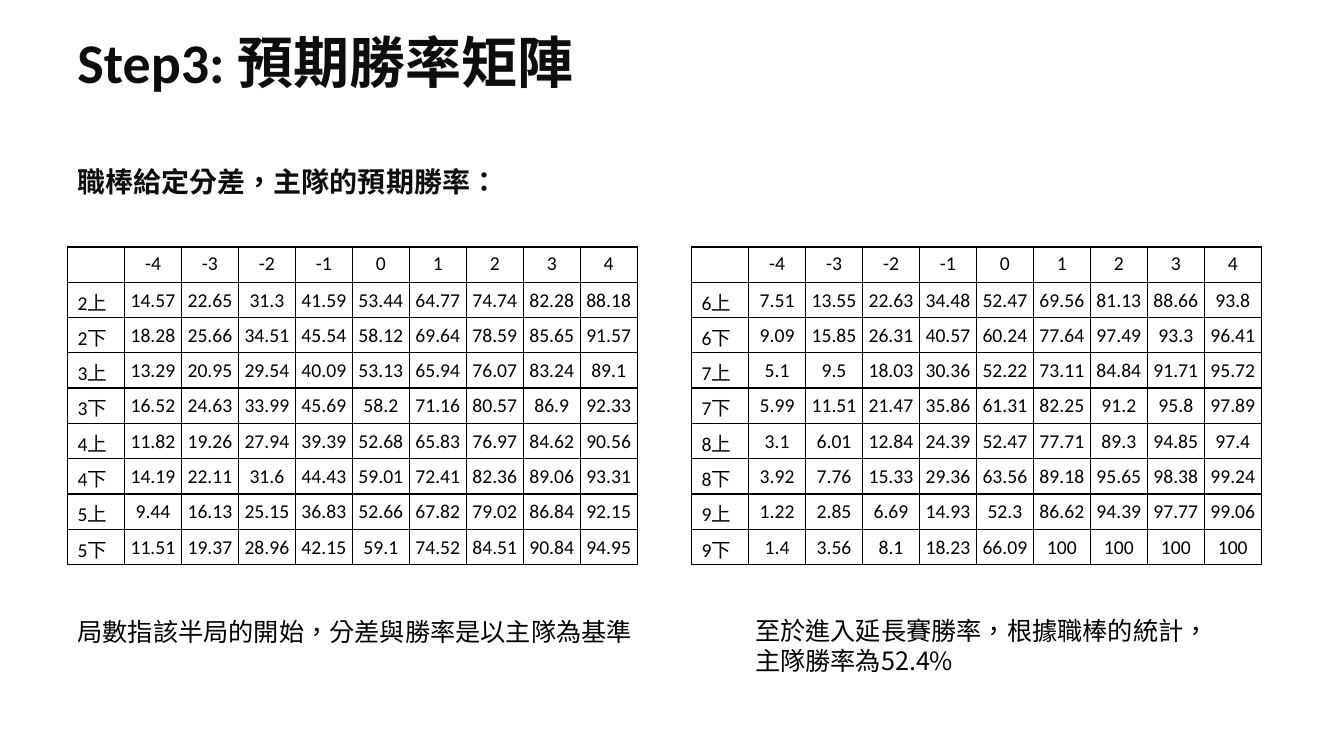
from lxml import etree
from pptx import Presentation
from pptx.dml.color import RGBColor
from pptx.enum.text import MSO_ANCHOR, PP_ALIGN
from pptx.oxml.ns import qn
from pptx.util import Inches, Pt

LATIN_FONT = "Calibri"
CHINESE_FONT = "Noto Sans CJK SC"
BLACK = "000000"
HEADING_COLOR = "0D0D0D"
TABLE_WIDTH = 5.65
ROW_HEIGHT = 0.35
SCORE_GAPS = [str(gap) for gap in range(-4, 5)]

EARLY_INNINGS = """\
2上 14.57 22.65 31.3 41.59 53.44 64.77 74.74 82.28 88.18
2下 18.28 25.66 34.51 45.54 58.12 69.64 78.59 85.65 91.57
3上 13.29 20.95 29.54 40.09 53.13 65.94 76.07 83.24 89.1
3下 16.52 24.63 33.99 45.69 58.2 71.16 80.57 86.9 92.33
4上 11.82 19.26 27.94 39.39 52.68 65.83 76.97 84.62 90.56
4下 14.19 22.11 31.6 44.43 59.01 72.41 82.36 89.06 93.31
5上 9.44 16.13 25.15 36.83 52.66 67.82 79.02 86.84 92.15
5下 11.51 19.37 28.96 42.15 59.1 74.52 84.51 90.84 94.95"""

LATE_INNINGS = """\
6上 7.51 13.55 22.63 34.48 52.47 69.56 81.13 88.66 93.8
6下 9.09 15.85 26.31 40.57 60.24 77.64 97.49 93.3 96.41
7上 5.1 9.5 18.03 30.36 52.22 73.11 84.84 91.71 95.72
7下 5.99 11.51 21.47 35.86 61.31 82.25 91.2 95.8 97.89
8上 3.1 6.01 12.84 24.39 52.47 77.71 89.3 94.85 97.4
8下 3.92 7.76 15.33 29.36 63.56 89.18 95.65 98.38 99.24
9上 1.22 2.85 6.69 14.93 52.3 86.62 94.39 97.77 99.06
9下 1.4 3.56 8.1 18.23 66.09 100 100 100 100"""


def rgb(value):
    return RGBColor.from_string(value)


def add_run(paragraph, text, size, font=LATIN_FONT, color=BLACK, bold=False):
    run = paragraph.add_run()
    run.text = text
    run.font.size = Pt(size)
    run.font.name = font
    run.font.bold = bold
    run.font.color.rgb = rgb(color)
    properties = run._r.get_or_add_rPr()
    properties.set("lang", "zh-TW")
    east_asian = etree.SubElement(properties, qn("a:ea"))
    east_asian.set("typeface", CHINESE_FONT)


def add_text(slide, box, text, size, line_spacing=None,
             anchor=MSO_ANCHOR.TOP, **run_style):
    shape = slide.shapes.add_textbox(*(Inches(length) for length in box))
    frame = shape.text_frame
    frame.word_wrap = True
    frame.vertical_anchor = anchor
    paragraph = frame.paragraphs[0]
    paragraph.line_spacing = line_spacing
    add_run(paragraph, text, size, **run_style)


def add_borders(cell):
    properties = cell._tc.get_or_add_tcPr()
    for side in ("lnL", "lnR", "lnT", "lnB"):
        line = etree.SubElement(properties, qn(f"a:{side}"), w=str(Pt(1)))
        fill = etree.SubElement(line, qn("a:solidFill"))
        etree.SubElement(fill, qn("a:srgbClr"), val=BLACK)


def fill_cell(cell, text, is_value, centered):
    add_borders(cell)
    cell.fill.background()
    paragraph = cell.text_frame.paragraphs[0]
    if centered:
        paragraph.alignment = PP_ALIGN.CENTER
    if is_value:
        cell.vertical_anchor = MSO_ANCHOR.MIDDLE
        cell.margin_left = cell.margin_right = cell.margin_top = Inches(0.01)
        cell.margin_bottom = 0
    if text:
        add_run(paragraph, text, 14)
    else:
        etree.SubElement(paragraph._p, qn("a:endParaRPr"), sz="1400")


def add_win_table(slide, left, innings):
    """Score gaps run across the header; each half inning is one row."""
    rows = [["", *SCORE_GAPS]] + [line.split() for line in innings.splitlines()]
    table = slide.shapes.add_table(
        len(rows), len(rows[0]), Inches(left), Inches(2.45),
        Inches(TABLE_WIDTH), Inches(ROW_HEIGHT * len(rows))).table
    table.first_row = False
    table.horz_banding = False
    for column in table.columns:
        column.width = Inches(TABLE_WIDTH / len(rows[0]))
    for row_index, row in enumerate(rows):
        table.rows[row_index].height = Inches(ROW_HEIGHT)
        for column_index, text in enumerate(row):
            fill_cell(table.cell(row_index, column_index), text,
                      is_value=row_index > 0 and column_index > 0,
                      centered=column_index > 0)


def main():
    presentation = Presentation()
    presentation.slide_width = Inches(13.33)
    presentation.slide_height = Inches(7.5)
    slide = presentation.slides.add_slide(presentation.slide_layouts[6])

    add_text(slide, (0.67, 0.21, 12, 0.87), "Step3: 預期勝率矩陣", 40,
             line_spacing=0.9, anchor=MSO_ANCHOR.MIDDLE,
             color=HEADING_COLOR, bold=True)
    add_text(slide, (0.67, 1.62, 12, 5.27), "職棒給定分差，主隊的預期勝率：", 20,
             line_spacing=0.9, color=HEADING_COLOR, bold=True)
    add_win_table(slide, 0.67, EARLY_INNINGS)
    add_win_table(slide, 6.86, LATE_INNINGS)
    add_text(slide, (0.67, 6.07, 6.6, 0.4),
             "局數指該半局的開始，分差與勝率是以主隊為基準", 18, font=CHINESE_FONT)
    add_text(slide, (7.39, 6.05, 4.59, 0.71),
             "至於進入延長賽勝率，根據職棒的統計，主隊勝率為52.4%", 18,
             font=CHINESE_FONT)

    presentation.save("out.pptx")


if __name__ == "__main__":
    main()
